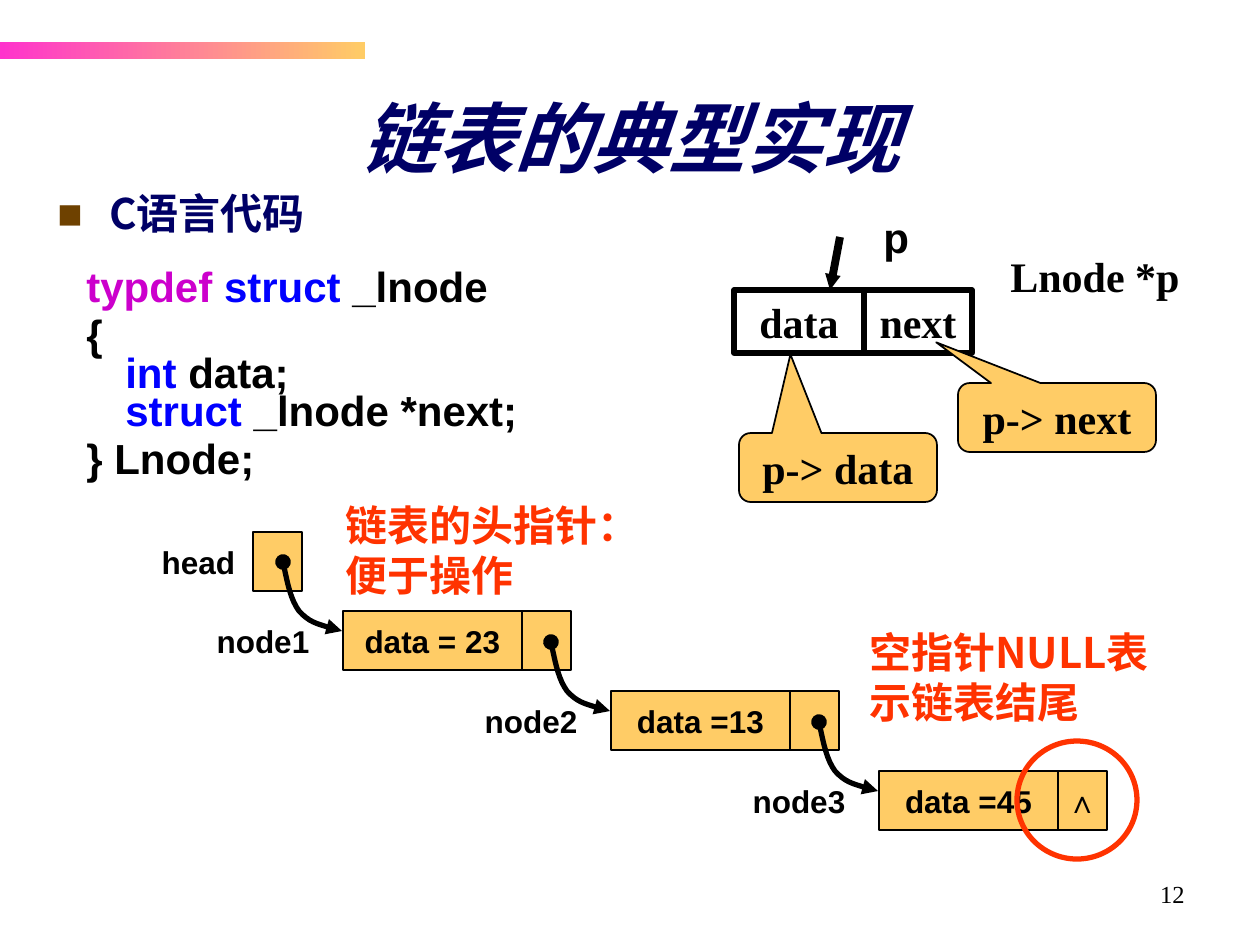
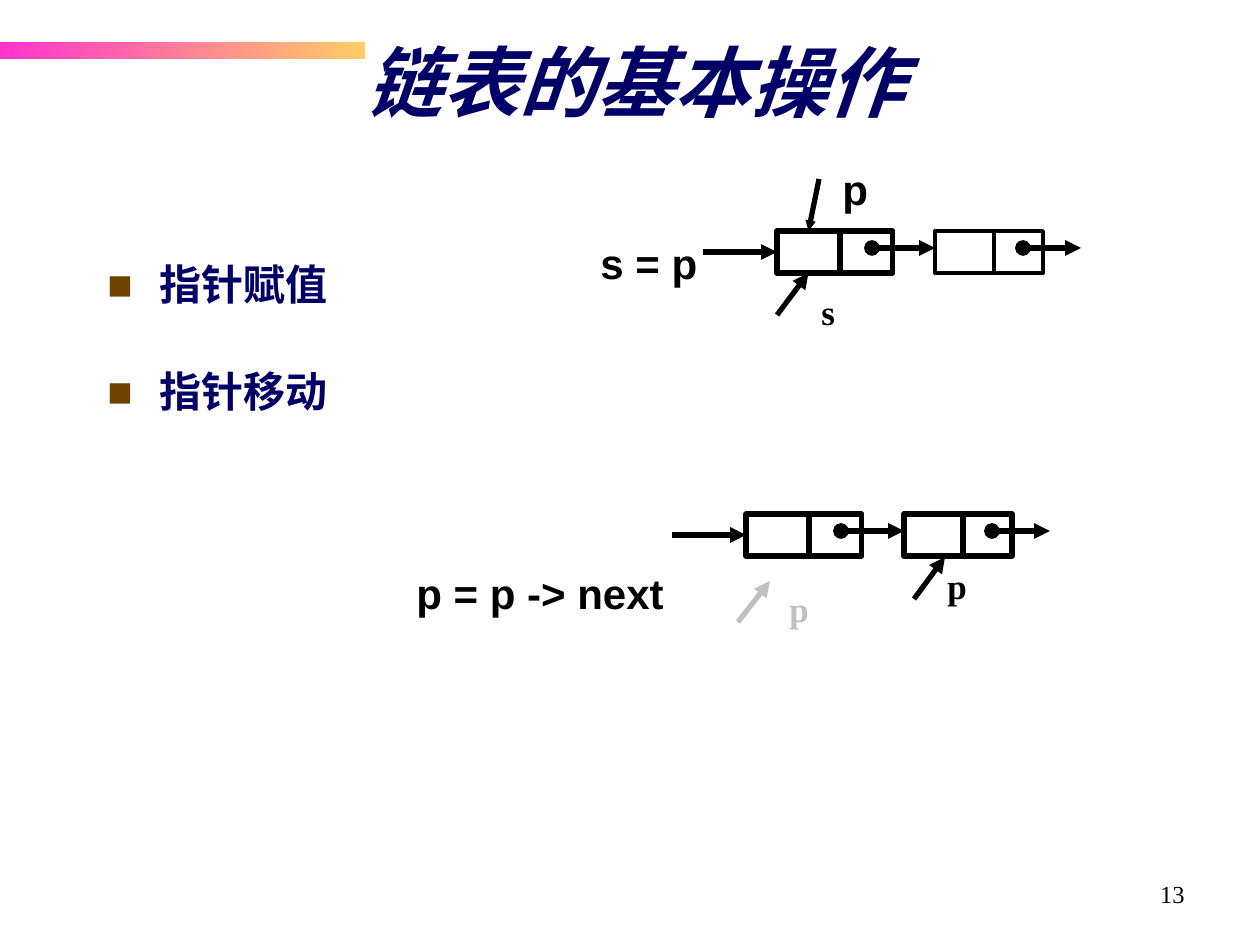
from lxml import etree
from pptx import Presentation
from pptx import util as u
from pptx.dml.color import RGBColor
from pptx.enum import shapes, text
from pptx.oxml.ns import qn

SCALE = 914400 / 126
COLORS = {
    "ink": "000000", "navy": "000066", "gold": "FFCC66", "pink": "FF33CC",
    "red": "FF3300", "brown": "6E4100", "blue": "0000FF",
    "magenta": "CC00CC", "faded": "C0C0C0",
}
SERIF, SANS, HAN = "Times New Roman", "Arial", "Noto Sans CJK SC"
LEFT, CENTER, RIGHT = text.PP_ALIGN.LEFT, text.PP_ALIGN.CENTER, text.PP_ALIGN.RIGHT
TOP, MIDDLE = text.MSO_ANCHOR.TOP, text.MSO_ANCHOR.MIDDLE
KIND = shapes.MSO_SHAPE
LINK_CURVE = [(4, 19), (8, 38), (16, 49), (26, 60), (43, 65), (59, 69)]


def px(length):
    return u.Emu(round(length * SCALE))


def rgb(name):
    return RGBColor.from_string(COLORS[name])


def add_child(parent, tag, **attributes):
    return etree.SubElement(parent, qn(tag), attributes)


def style_span(span, size, font, color, bold, italic, shadow):
    span.font.size = u.Pt(size)
    span.font.name = font
    span.font.bold = bold
    span.font.italic = italic
    span.font.color.rgb = rgb(color)
    properties = span.font._element
    latin = properties.find(qn("a:latin"))
    latin.addnext(latin.makeelement(qn("a:ea"), {"typeface": HAN}))
    if shadow:
        effects = add_child(properties, "a:effectLst")
        cast = add_child(effects, "a:outerShdw", dist="38100", dir="2700000", algn="tl")
        add_child(cast, "a:srgbClr", val=COLORS["ink"])
        properties.find(qn("a:solidFill")).addnext(effects)


def write(frame, content, size=24, font=SANS, color="ink", bold=True, italic=False,
          shadow=False, align=LEFT, anchor=TOP, wrap=False, spacing=None, before=None,
          indent=None, bullet=None, tab=None):
    frame.auto_size = text.MSO_AUTO_SIZE.NONE
    frame.word_wrap = wrap
    frame.vertical_anchor = anchor
    frame.margin_left = frame.margin_right = u.Inches(0.1)
    frame.margin_top = frame.margin_bottom = u.Inches(0.05)
    lines = [[(content, color)]] if isinstance(content, str) else content
    for number, line in enumerate(lines):
        para = frame.add_paragraph() if number else frame.paragraphs[0]
        para.alignment = align
        if spacing:
            para.line_spacing = spacing
        if before:
            para.space_before = u.Pt(before)
        properties = para._p.get_or_add_pPr()
        if indent:
            properties.set("marL", str(px(indent[0])))
            properties.set("indent", str(px(indent[1])))
        if bullet:
            add_child(add_child(properties, "a:buClr"), "a:srgbClr", val=COLORS["brown"])
            add_child(properties, "a:buFont", typeface=SANS)
            add_child(properties, "a:buChar", char=bullet)
        if tab:
            add_child(add_child(properties, "a:tabLst"), "a:tab", pos=str(px(tab)), algn="l")
        for words, tint in line:
            for part, piece in enumerate(words.split("\v")):
                if part:
                    para.add_line_break()
                if piece:
                    span = para.add_run()
                    span.text = piece
                    style_span(span, size, font, tint, bold, italic, shadow)


class Board:
    def __init__(self, deck):
        self.deck = deck
        self.slide = None

    def new_slide(self, title, place, number):
        self.slide = self.deck.slides.add_slide(self.deck.slide_layouts[5])
        heading = self.slide.shapes.title
        heading.left, heading.top, heading.width, heading.height = map(px, place)
        write(heading.text_frame, title, size=44, font=SERIF, color="navy", italic=True,
              shadow=True, align=CENTER, anchor=MIDDLE, wrap=True, spacing=0.85)
        band = self.shape((0, 42, 365, 17), fill="gold", weight=0)
        band.fill.gradient()
        band.fill.gradient_angle = 0
        for stop, name in zip(band.fill.gradient_stops, ("pink", "gold")):
            stop.color.rgb = rgb(name)
        self.label(str(number), (903, 873, 294, 66), size=14, font=SERIF, bold=False,
                   align=RIGHT, wrap=True)

    def label(self, content, place, **style):
        box = self.slide.shapes.add_textbox(*map(px, place))
        write(box.text_frame, content, **style)
        return box

    def bullets(self, lines, place, font):
        return self.label([[(line, "navy")] for line in lines], place, font=font, wrap=True,
                          spacing=0.95, before=6, indent=(52, -52), bullet="■")

    def shape(self, place, kind=KIND.RECTANGLE, fill=None, line="ink", weight=0.75,
              content=None, **style):
        shape = self.slide.shapes.add_shape(kind, *map(px, place))
        shape.shadow.inherit = False
        if fill:
            shape.fill.solid()
            shape.fill.fore_color.rgb = rgb(fill)
        else:
            shape.fill.background()
        if weight:
            self.stroke(shape, line, weight)
        else:
            shape.line.fill.background()
        if content:
            write(shape.text_frame, content, align=CENTER, **style)
        return shape

    def stroke(self, shape, color, weight, head=None, tail=None, size="med"):
        shape.line.color.rgb = rgb(color)
        shape.line.width = u.Pt(weight)
        line = shape.line._get_or_add_ln()
        for tag, end in (("a:headEnd", head), ("a:tailEnd", tail)):
            if end:
                add_child(line, tag, type=end, w=size, len=size)

    def arrow(self, start, end, color="ink", weight=3, head=None, size="med", target=None):
        arrow = self.slide.shapes.add_connector(
            shapes.MSO_CONNECTOR.STRAIGHT, *map(px, start + end))
        self.stroke(arrow, color, weight, head, "triangle", size)
        add_child(arrow._element.spPr, "a:effectLst")
        if target:
            arrow.end_connect(*target)

    def curved_link(self, left, top):
        builder = self.slide.shapes.build_freeform(px(left), px(top))
        builder.add_line_segments([(px(left + x), px(top + y)) for x, y in LINK_CURVE],
                                  close=False)
        link = builder.convert_to_shape()
        link.shadow.inherit = False
        link.fill.background()
        self.stroke(link, "ink", 3, "oval", "triangle")
        outline = next(link._element.iter(qn("a:path")))
        segments = outline.findall(qn("a:lnTo"))
        for first in range(0, len(segments), 3):
            curve = add_child(outline, "a:cubicBezTo")
            for segment in segments[first:first + 3]:
                curve.append(segment[0])
                outline.remove(segment)

    def callout(self, content, left, top, tip):
        callout = self.shape((left, top, 198, 69), KIND.ROUNDED_RECTANGULAR_CALLOUT, "gold",
                             weight=1, content=content, font=SERIF, wrap=True)
        for index, value in enumerate(tip + (0.17,)):
            callout.adjustments[index] = value

    def list_node(self, name, value, left, top, pointer=None):
        style = dict(size=18, anchor=MIDDLE)
        self.shape((left, top, 179, 59), fill="gold", content=value, **style)
        self.shape((left + 179, top, 49, 59), fill="gold", content=pointer, **style)
        self.label(name, (left - 140, top + 10, 120, 39), align=CENTER, **style)

    def chain(self, left, top, second_weight=3):
        nodes = []
        for x, widths, weight, link in ((left, (63, 53), 3, (95, 158)),
                                        (left + 158, (59, 49), second_weight, (88, 146))):
            nodes.append(self.shape((x, top, widths[0], 42), weight=weight))
            self.shape((x + widths[0], top, widths[1], 42), weight=weight)
            self.arrow((x + link[0], top + 17), (x + link[1], top + 17), head="oval")
        self.arrow((left - 74, top + 21), (left, top + 21), target=(nodes[0], 1))
        return nodes[0]


def build_implementation(board):
    board.new_slide("链表的典型实现", (93, 86, 1075, 116), 12)
    board.bullets(["C语言代码"], (45, 185, 1071, 120), HAN)
    board.label([
        [("typdef ", "magenta"), ("struct ", "blue"), ("_lnode", "ink")],
        [("{\v", "ink"), ("int", "blue"), ("\tdata;\v", "ink"), ("struct", "blue"),
         (" _lnode *next;", "ink")],
        [("} Lnode;", "ink")],
    ], (59, 266, 591, 248), wrap=True, spacing=0.75, before=6, indent=(54, -39), tab=110)

    board.shape((253, 532, 49, 59), fill="gold")
    board.label("head", (164, 532, 69, 59), size=18, align=CENTER, anchor=MIDDLE)
    nodes = [("data = 23", None), ("data =13", None), ("data =45", "∧")]
    for index, (value, pointer) in enumerate(nodes):
        left, top = 343 + 268 * index, 611 + 80 * index
        board.list_node(f"node{index + 1}", value, left, top, pointer)
    for index in range(len(nodes)):
        board.curved_link(283 + 268 * index, 562 + 80 * index)
    board.shape((1017, 741, 120, 118), KIND.OVAL, line="red", weight=3)
    note = dict(font=HAN, color="red", wrap=True)
    board.label("空指针NULL表示链表结尾", (857, 620, 325, 113), **note)
    board.label("链表的头指针：便于操作", (333, 493, 357, 113), **note)

    for field, left, width in (("data", 734, 130), ("next", 864, 108)):
        board.shape((left, 290, width, 63), weight=3, content=field, font=SERIF, anchor=MIDDLE)
    board.label("Lnode *p", (998, 244, 194, 63), font=SERIF)
    board.arrow((840, 237), (830, 290), weight=4.5, size="sm")
    board.label("p", (871, 205, 50, 63))
    board.callout("p-> data", 739, 433, (-0.24, -1.64))
    board.callout("p-> next", 958, 383, (-0.61, -1.09))


def build_operations(board):
    board.new_slide("链表的基本操作", (98, 49, 1075, 77), 13)
    topics = board.bullets(["指针赋值", "指针移动"], (95, 256, 1012, 577), SERIF)
    topics.text_frame.paragraphs[1].space_before = u.Pt(34)

    first = board.chain(777, 231, second_weight=2.25)
    board.arrow((819, 179), (809, 231), size="sm", target=(first, 0))
    board.arrow((777, 315), (809, 273), target=(first, 2))
    board.chain(746, 514)
    board.arrow((738, 622), (770, 581), color="faded")
    board.arrow((914, 599), (945, 557))

    board.label("p", (830, 157, 50, 63))
    board.label("s = p", (588, 231, 122, 63))
    board.label("p = p -> next", (404, 561, 272, 63))
    pointer = dict(size=20, font=SERIF)
    board.label("s", (809, 284, 39, 55), **pointer)
    board.label("p", (777, 581, 44, 55), color="faded", **pointer)
    board.label("p", (935, 558, 44, 55), **pointer)


def main():
    deck = Presentation()
    deck.slide_width, deck.slide_height = px(1260), px(945)
    board = Board(deck)
    build_implementation(board)
    build_operations(board)
    deck.save("out.pptx")


if __name__ == "__main__":
    main()
